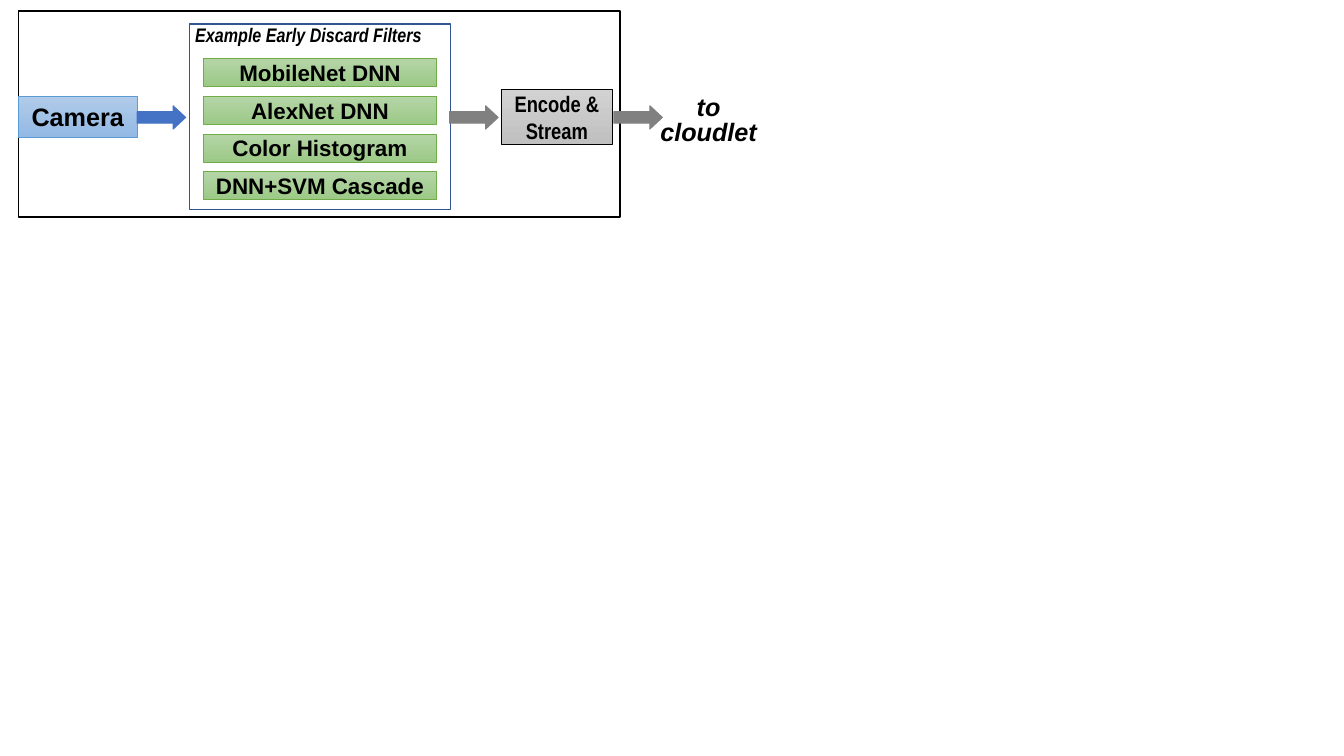
from pptx import Presentation
from pptx.dml.color import RGBColor
from pptx.enum.shapes import MSO_SHAPE
from pptx.enum.text import MSO_ANCHOR, PP_ALIGN
from pptx.util import Pt

RECT, ARROW = MSO_SHAPE.RECTANGLE, MSO_SHAPE.RIGHT_ARROW
MIDDLE, CENTER, LEFT = MSO_ANCHOR.MIDDLE, PP_ALIGN.CENTER, PP_ALIGN.LEFT

BLACK = RGBColor(0x00, 0x00, 0x00)
NAVY = RGBColor(0x32, 0x54, 0x91)
BLUE = RGBColor(0x44, 0x72, 0xC4)
GRAY = RGBColor(0x80, 0x80, 0x80)
SKY = RGBColor(0x5B, 0x9B, 0xD5)
GREEN = RGBColor(0x70, 0xAD, 0x47)
# Gradients run from top to bottom
SKY_FADE = RGBColor(0xB1, 0xCB, 0xE9), RGBColor(0x93, 0xB9, 0xE4)
GREEN_FADE = RGBColor(0xB5, 0xD5, 0xA7), RGBColor(0x9C, 0xC9, 0x87)
GRAY_FADE = RGBColor(0xD2, 0xD2, 0xD2), RGBColor(0xC0, 0xC0, 0xC0)

SANS, NARROW = "Arial", "Arial Narrow"
FILTERS = ["MobileNet DNN", "AlexNet DNN", "Color Histogram", "DNN+SVM Cascade"]


def write(sp, text, size, font=SANS, italic=False, align=CENTER, spacing=None):
    tf = sp.text_frame
    tf.text = text
    for p in tf.paragraphs:
        p.alignment = align
        p.line_spacing = spacing
        for r in p.runs:
            r.font.name, r.font.size = font, Pt(size)
            r.font.bold, r.font.italic = True, italic
            r.font.color.rgb = BLACK
    return tf


def add_outline(s, x, y, w, h, color, width=1, kind=RECT):
    sp = s.shapes.add_shape(kind, Pt(x), Pt(y), Pt(w), Pt(h))
    sp.shadow.inherit = False
    sp.fill.background()
    sp.line.color.rgb, sp.line.width = color, Pt(width)
    return sp


def add_block(s, x, y, w, h, text, size, fade, line, font=SANS):
    sp = add_outline(s, x, y, w, h, line, 0.5)
    sp.fill.gradient()
    sp.fill.gradient_angle = 270
    for stop, color in zip(sp.fill.gradient_stops, fade):
        stop.color.rgb = color
    tf = write(sp, text, size, font)
    tf.word_wrap, tf.vertical_anchor = True, MIDDLE


def add_arrow(s, x, y, color):
    sp = add_outline(s, x, y, 34.6, 16.6, color, 0.75, ARROW)
    sp.adjustments[1] = 0.537
    sp.fill.solid()
    sp.fill.fore_color.rgb = color


def add_label(s, x, y, w, h, text, size, wrap, **style):
    sp = s.shapes.add_textbox(Pt(x), Pt(y), Pt(w), Pt(h))
    write(sp, text, size, italic=True, **style).word_wrap = wrap


def filter_panel(s, x, y, w, h):
    add_outline(s, x, y, w, h, NAVY)
    add_label(s, x - 3, y - 4.3, w + 10, 23.8, "Example Early Discard Filters",
              14, True, font=NARROW, align=LEFT)
    for i, name in enumerate(FILTERS):
        add_block(s, x + 10, y + 24.5 + 26.9 * i, w - 20.2, 20.2,
                  name, 16, GREEN_FADE, GREEN)


def pipeline(s, x, y, w, h):
    arrow_y = y + 67.6
    add_outline(s, x, y, w, h, BLACK)
    filter_panel(s, x + 122.4, y + 9.3, 186.5, 132.5)
    # Camera input
    add_block(s, x, y + 60.6, 85, 29.5, "Camera", 18, SKY_FADE, SKY)
    add_arrow(s, x + 85, arrow_y, BLUE)
    # Encoding stage
    add_block(s, x + 344.8, y + 56, 80, 39, "Encode & Stream", 16,
              GRAY_FADE, BLACK, NARROW)
    add_arrow(s, x + 308.2, arrow_y, GRAY)
    # Output
    add_arrow(s, x + 425.5, arrow_y, GRAY)
    add_label(s, x + 451.4, y + 58.2, 83.5, 41.8, "to\ncloudlet", 18, False,
              spacing=0.8)


prs = Presentation()
prs.slide_width, prs.slide_height = Pt(960), Pt(540)
s = prs.slides.add_slide(prs.slide_layouts[6])
pipeline(s, 13, 8, 430, 147)
prs.save("out.pptx")
